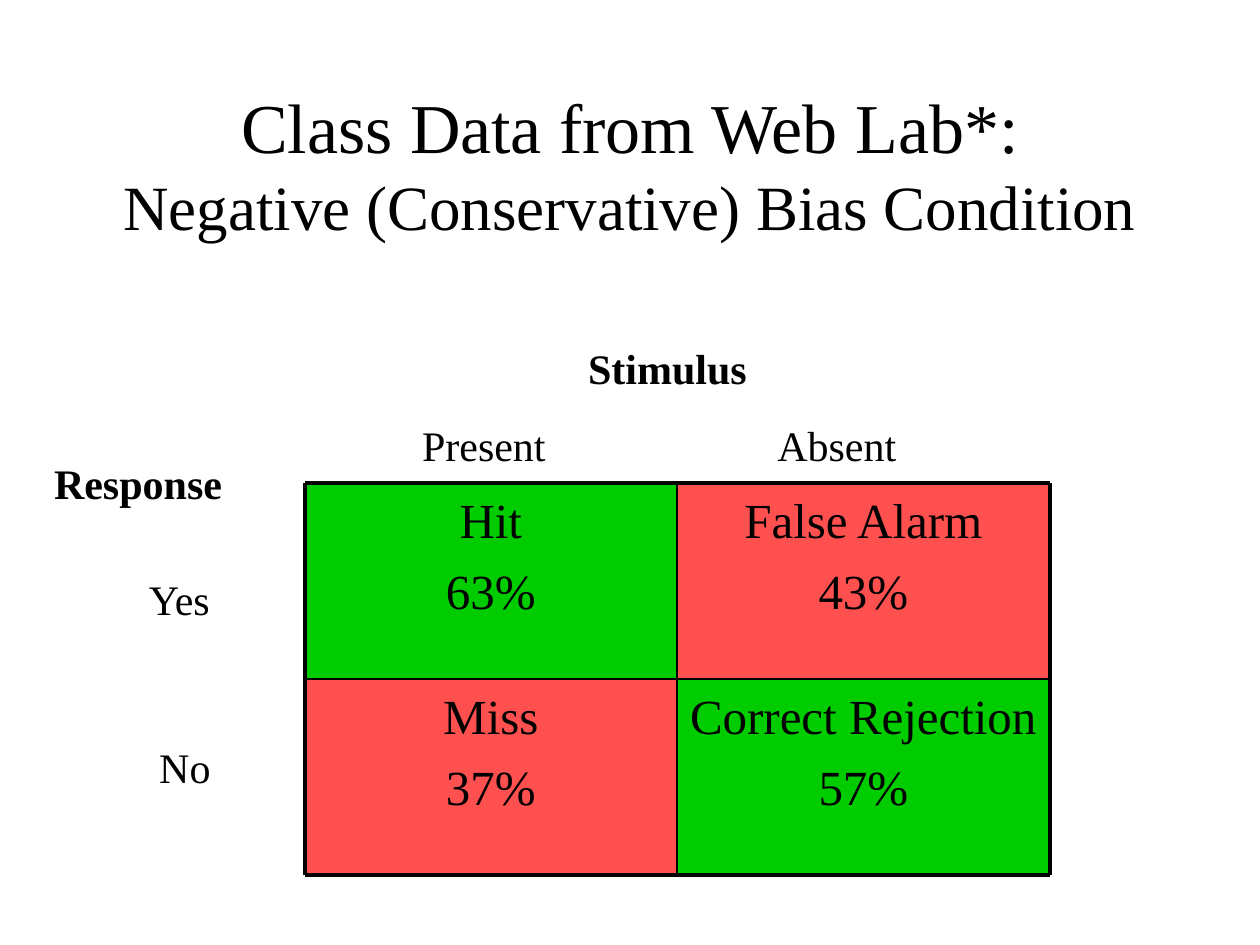
"""Build a slide with a two-by-two signal detection matrix."""
from lxml.etree import SubElement
from pptx import Presentation
from pptx.dml.color import RGBColor
from pptx.enum.shapes import MSO_CONNECTOR as Connector, MSO_SHAPE as Shape
from pptx.enum.text import MSO_ANCHOR as Anchor, PP_ALIGN as Align
from pptx.oxml.ns import qn
from pptx.util import Cm, Pt

COLORS = {"text": "000000", "right": "00CC00", "wrong": "FF5050"}
FONT = "Times New Roman"
TITLE = [("Class Data from Web Lab*:", 40), ("Negative (Conservative) Bias Condition", 36)]
CELLS = [
    [("Hit", "63%", "right"), ("False Alarm", "43%", "wrong")],
    [("Miss", "37%", "wrong"), ("Correct Rejection", "57%", "right")],
]
ROW_LABELS = [
    ("Response", True, 0.84, 9.1, 4.45),
    ("Yes", False, 2.75, 11.43, 2.54),
    ("No", False, 2.96, 14.82, 2.54),
]
LEFT, TOP, CELL_WIDTH, CELL_HEIGHT = 6.14, 9.74, 7.51, 3.95
COLUMN_TABS = [0.84, 8.0]


def color(name):
    return RGBColor.from_string(COLORS[name])


def add_run(para, text, size, bold=False):
    span = para.add_run()
    span.text = text
    span.font.name, span.font.size, span.font.bold = FONT, Pt(size), bold
    span.font.color.rgb = color("text")


def add_box(slide, left, top, width, height):
    box = slide.shapes.add_textbox(Cm(left), Cm(top), Cm(width), Cm(height))
    box.text_frame.word_wrap = True
    return box.text_frame


def add_title(slide):
    frame = add_box(slide, 1.9, 1.55, 21.6, 3.48)
    frame.vertical_anchor = Anchor.MIDDLE
    para = frame.paragraphs[0]
    para.alignment = Align.CENTER
    for index, (text, size) in enumerate(TITLE):
        if index:
            para.add_line_break()
        add_run(para, text, size)


def add_cell(matrix, row, column, name, value, fill):
    cell = matrix.shapes.add_shape(
        Shape.RECTANGLE, Cm(LEFT + column * CELL_WIDTH), Cm(TOP + row * CELL_HEIGHT),
        Cm(CELL_WIDTH), Cm(CELL_HEIGHT))
    cell.shadow.inherit = False
    cell.fill.solid()
    cell.fill.fore_color.rgb = color(fill)
    cell.line.fill.background()
    frame = cell.text_frame
    frame.word_wrap = True
    frame.vertical_anchor = Anchor.TOP
    for para, text in ((frame.paragraphs[0], name), (frame.add_paragraph(), value)):
        para.alignment = Align.CENTER
        add_run(para, text, 28)
    para.space_before = Pt(7)


def add_rule(matrix, start, end, width):
    rule = matrix.shapes.add_connector(Connector.STRAIGHT, *map(Cm, start + end))
    rule.line.color.rgb = color("text")
    rule.line.width = Pt(width)
    SubElement(rule._element.spPr, qn("a:effectLst"))


def add_matrix(slide):
    matrix = slide.shapes.add_group_shape()
    for row, cells in enumerate(CELLS):
        for column, cell in enumerate(cells):
            add_cell(matrix, row, column, *cell)
    right, bottom = LEFT + 2 * CELL_WIDTH, TOP + 2 * CELL_HEIGHT
    for step, width in enumerate((2.25, 1, 2.25)):
        x, y = LEFT + step * CELL_WIDTH, TOP + step * CELL_HEIGHT
        add_rule(matrix, (LEFT, y), (right, y), width)
        add_rule(matrix, (x, TOP), (x, bottom), width)


def add_labels(slide):
    frame = add_box(slide, 7.42, 6.78, 12.07, 2.82)
    heading, columns = frame.paragraphs[0], frame.add_paragraph()
    heading.alignment = Align.CENTER
    add_run(heading, "Stimulus", 24, True)
    columns.space_before = Pt(15)
    stops = SubElement(columns._p.get_or_add_pPr(), qn("a:tabLst"))
    for position in COLUMN_TABS:
        SubElement(stops, qn("a:tab"), pos=str(int(Cm(position))), algn="l")
    add_run(columns, "\tPresent\tAbsent", 24)
    for text, bold, left, top, width in ROW_LABELS:
        label = add_box(slide, left, top, width, 1.27)
        add_run(label.paragraphs[0], text, 24, bold)


def main():
    deck = Presentation()
    deck.slide_width, deck.slide_height = Cm(25.4), Cm(19.05)
    page = deck.slides.add_slide(deck.slide_layouts[6])
    add_title(page)
    add_matrix(page)
    add_labels(page)
    deck.save("out.pptx")


if __name__ == "__main__":
    main()
